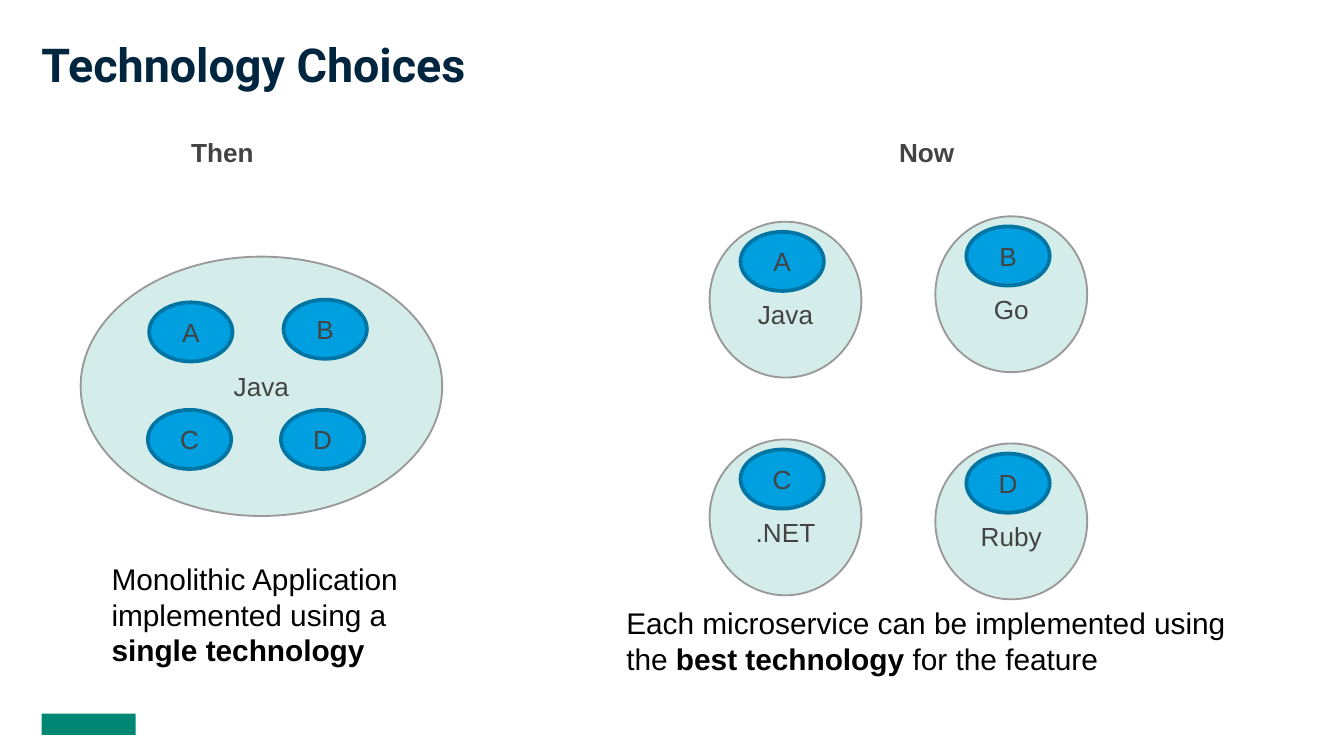
from dataclasses import dataclass

from pptx import Presentation
from pptx import util as u
from pptx.dml.color import RGBColor
from pptx.enum import shapes, text

# Grid of square cells: 100 columns by 56.25 rows
COLUMNS, ROWS = 100, 56.25
CELL = 0.1


@dataclass(frozen=True)
class Theme:
    title_font: str = "Roboto"
    body_font: str = "Arial"
    title_size: float = 25
    body_size: float = 16
    label_size: float = 14
    title: str = "00253E"
    body: str = "000000"
    label: str = "434343"
    host_fill: str = "D5EDEA"
    host_line: str = "999999"
    feature_fill: str = "009FDF"
    feature_line: str = "0074A2"
    accent: str = "008774"


THEME = Theme()
FEATURE_SIZE = (6.2, 4.4)
SERVICE_SIZE = (11.3, 11.6)
FEATURE_OFFSET = (2.3, 0.75)
LABEL_INSETS = (0.1, 0.05, 0.1, 0.05)
LABEL_DROP = 0.22  # lowers a service name by one line


def cells(*counts):
    return [u.Inches(count * CELL) for count in counts]


def color(value):
    return RGBColor.from_string(value)


def write(box, *spans, size=THEME.label_size, font=THEME.body_font,
          ink=THEME.label, align=text.PP_ALIGN.CENTER,
          anchor=text.MSO_ANCHOR.TOP, insets=LABEL_INSETS):
    """Fill a box with one paragraph of (words, bold) spans."""
    frame = box.text_frame
    frame.word_wrap = True
    frame.vertical_anchor = anchor
    (frame.margin_left, frame.margin_top,
     frame.margin_right, frame.margin_bottom) = map(u.Inches, insets)
    para = frame.paragraphs[0]
    para.alignment = align
    for words, bold in spans:
        span = para.add_run()
        span.text = words
        span.font.name = font
        span.font.size = u.Pt(size)
        span.font.bold = bold
        span.font.color.rgb = color(ink)


def add_text(page, place, *spans, **style):
    write(page.shapes.add_textbox(*cells(*place)), *spans, **style)


def add_caption(page, place, *spans):
    add_text(page, place, *spans, size=THEME.body_size, ink=THEME.body,
             align=text.PP_ALIGN.LEFT, insets=(0, 0, 0, 0))


def add_ellipse(page, place, name, fill, line, weight, drop=0):
    oval = page.shapes.add_shape(shapes.MSO_SHAPE.OVAL, *cells(*place))
    oval.shadow.inherit = False
    oval.fill.solid()
    oval.fill.fore_color.rgb = color(fill)
    oval.line.color.rgb = color(line)
    oval.line.width = u.Pt(weight)
    left, top, right, bottom = LABEL_INSETS
    write(oval, (name, False), anchor=text.MSO_ANCHOR.MIDDLE,
          insets=(left, top + drop, right, bottom))


def add_host(page, place, name, drop=0):
    add_ellipse(page, place, name, THEME.host_fill, THEME.host_line, 1, drop)


def add_feature(page, left, top, name):
    add_ellipse(page, (left, top, *FEATURE_SIZE), name,
                THEME.feature_fill, THEME.feature_line, 2)


def add_service(page, left, top, feature, technology):
    add_host(page, (left, top, *SERVICE_SIZE), technology, LABEL_DROP)
    across, down = FEATURE_OFFSET
    add_feature(page, left + across, top + down, feature)


def add_mark(page, place):
    mark = page.shapes.add_shape(shapes.MSO_SHAPE.RECTANGLE, *cells(*place))
    mark.shadow.inherit = False
    mark.fill.solid()
    mark.fill.fore_color.rgb = color(THEME.accent)
    mark.line.fill.background()


def main():
    deck = Presentation()
    deck.slide_width, deck.slide_height = cells(COLUMNS, ROWS)
    page = deck.slides.add_slide(deck.slide_layouts[6])

    # Footer mark and title
    add_mark(page, (3.1, 53.1, 7, 1.6))
    add_text(page, (2.1, 1.7, 94.7, 4.3), ("Technology Choices", True),
             size=THEME.title_size, font=THEME.title_font, ink=THEME.title,
             align=text.PP_ALIGN.LEFT, insets=(0.1,) * 4)

    # Column headings
    for left, heading in ((3.1, "Then"), (55.5, "Now")):
        add_text(page, (left, 9.63, 26.9, 3.4), (heading, True))

    # Then: one application holding every feature
    add_host(page, (6, 19.1, 26.9, 19.3), "Java")
    for left, top, name in ((11.1, 22.5, "A"), (21.1, 22.3, "B"),
                            (11, 30.5, "C"), (20.9, 30.5, "D")):
        add_feature(page, left, top, name)
    add_caption(page, (8.3, 41.7, 26.2, 8.1),
                ("Monolithic Application implemented using a ", False),
                ("single technology", True))

    # Now: one service for each feature
    for left, top, feature, technology in (
            (69.6, 33, "D", "Ruby"), (69.6, 16.1, "B", "Go"),
            (52.8, 32.7, "C", ".NET"), (52.8, 16.5, "A", "Java")):
        add_service(page, left, top, feature, technology)
    add_caption(page, (46.6, 45, 47.1, 5.4),
                ("Each microservice can be implemented using the ", False),
                ("best technology ", True),
                ("for the feature", False))

    deck.save("out.pptx")


if __name__ == "__main__":
    main()
